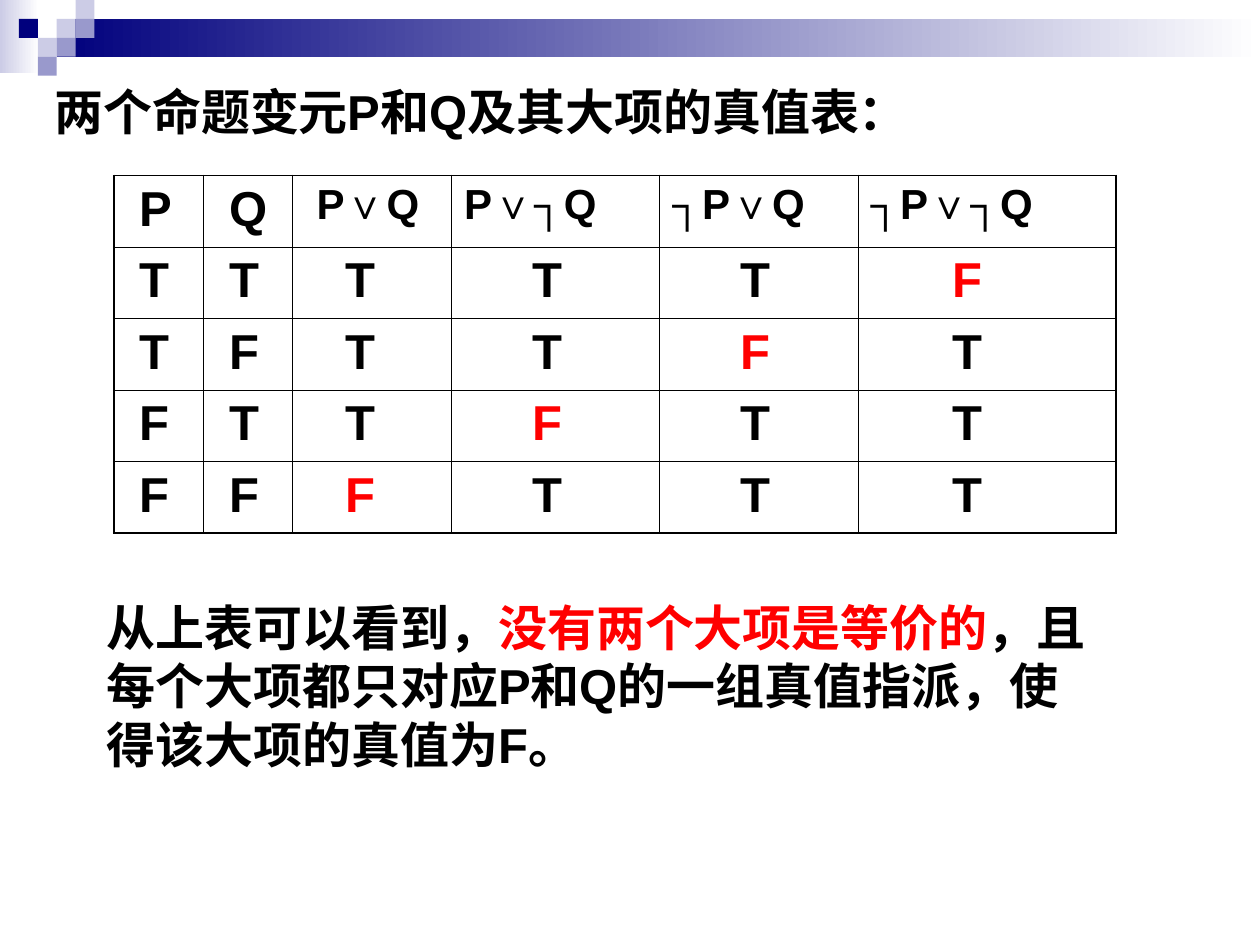
from dataclasses import dataclass
from typing import Any, NamedTuple

from lxml.etree import Element
from pptx import Presentation as Deck
from pptx.dml.color import RGBColor as Color
from pptx.enum.shapes import MSO_SHAPE as Kind
from pptx.enum.text import MSO_ANCHOR as Anchor, PP_ALIGN as Align
from pptx.oxml.ns import qn
from pptx.util import Pt


@dataclass(frozen=True)
class Theme:
    face: str = "Arial"
    ink: str = "000000"
    red: str = "FF0000"
    navy: str = "00007D"
    mid: str = "9999CC"
    pale: str = "CCCCE6"
    white: str = "FFFFFF"
    large: float = 28
    small: float = 24
    thin: float = 0.45
    thick: float = 1.08


class Box(NamedTuple):
    left: float
    top: float
    width: float
    height: float


class Tile(NamedTuple):
    col: int
    row: int
    tone: str


class Run(NamedTuple):
    text: str
    tone: str


class Column(NamedTuple):
    width: float
    head: str
    size: float
    head_pad: float
    pad: float
    marks: str


LOOK = Theme()
UNIT = 10.8
ROW = 40.8
BANDS = [
    (Box(0, 0, 22.3, 41.8), LOOK.pale),
    (Box(32.4, UNIT, 687.6, 21.6), LOOK.navy),
]
TILES = [
    Tile(3, 1, LOOK.pale),
    Tile(4, 0, LOOK.pale),
    Tile(4, 1, LOOK.mid),
    Tile(2, 2, LOOK.pale),
    Tile(1, 1, LOOK.navy),
    Tile(3, 2, LOOK.mid),
    Tile(2, 3, LOOK.mid),
]
COLUMNS = [
    Column(51, "P", LOOK.large, 15, 15, "TTFF"),
    Column(51, "Q", LOOK.large, 15, 15, "TFTF"),
    Column(91, "P∨Q", LOOK.small, 13.9, 30.5, "TTTF"),
    Column(119, "P∨┐Q", LOOK.small, 7.2, 46.1, "TTFT"),
    Column(113.3, "┐P∨Q", LOOK.small, 7.2, 46.1, "TFTT"),
    Column(147.3, "┐P∨┐Q", LOOK.small, 7.2, 53.9, "FTTT"),
]
TITLE = [Run("两个命题变元P和Q及其大项的真值表：", LOOK.ink)]
NOTE = [
    Run("从上表可以看到，", LOOK.ink),
    Run("没有两个大项是等价的", LOOK.red),
    Run("，且每个大项都只对应P和Q的一组真值指派，使得该大项的真值为F。", LOOK.ink),
]


def apply(item: Any, form: dict[str, Any]) -> None:
    for key, value in form.items():
        setattr(item, key, value)


def write(frame: Any, runs: list[Run], size: float, space: float) -> None:
    para = frame.paragraphs[0]
    apply(para, {"alignment": Align.LEFT, "space_before": Pt(space)})
    for part in runs:
        run = para.add_run()
        run.text = part.text
        apply(run.font, {"name": LOOK.face, "size": Pt(size), "bold": True})
        run.font.color.rgb = Color.from_string(part.tone)


def draw_rect(slide: Any, box: Box, tone: str, fade: bool = False) -> None:
    shape = slide.shapes.add_shape(Kind.RECTANGLE, *map(Pt, box))
    shape.shadow.inherit = False
    shape.line.fill.background()
    if fade:
        shape.fill.gradient()
        shape.fill.gradient_angle = 0
        for stop, hue in zip(shape.fill.gradient_stops, (tone, LOOK.white)):
            stop.color.rgb = Color.from_string(hue)
    else:
        shape.fill.solid()
        shape.fill.fore_color.rgb = Color.from_string(tone)


def draw_text(slide: Any, box: Box, runs: list[Run], space: float) -> None:
    frame = slide.shapes.add_textbox(*map(Pt, box)).text_frame
    apply(frame, {"word_wrap": True, "vertical_anchor": Anchor.TOP})
    write(frame, runs, LOOK.large, space)


def rule_cell(cell: Any, outer: dict[str, bool]) -> None:
    props = cell._tc.get_or_add_tcPr()
    for spot, (side, edge) in enumerate(outer.items()):
        width = Pt(LOOK.thick if edge else LOOK.thin)
        line = Element(qn(f"a:ln{side}"), w=str(int(width)))
        fill = Element(qn("a:solidFill"))
        fill.append(Element(qn("a:srgbClr"), val=LOOK.ink))
        line.append(fill)
        props.insert(spot, line)


def draw_table(slide: Any, left: float, top: float, cols: list[Column]) -> None:
    count = len(cols[0].marks) + 1
    wide = sum(col.width for col in cols)
    box = Box(left, top, wide, ROW * count)
    table = slide.shapes.add_table(count, len(cols), *map(Pt, box)).table
    apply(table, {"first_row": False, "horz_banding": False})
    for row in table.rows:
        row.height = Pt(ROW)
    for x, col in enumerate(cols):
        table.columns[x].width = Pt(col.width)
        for y, text in enumerate([col.head, *col.marks]):
            cell = table.cell(y, x)
            head = y == 0
            pad = col.head_pad if head else col.pad
            size = col.size if head else LOOK.large
            false = text == "F" and x > 1
            apply(cell, {"margin_left": Pt(pad), "vertical_anchor": Anchor.TOP})
            cell.fill.background()
            tone = LOOK.red if false else LOOK.ink
            write(cell.text_frame, [Run(text, tone)], size, size / 4)
            rule_cell(cell, {
                "L": x == 0,
                "R": x == len(cols) - 1,
                "T": head,
                "B": y == count - 1,
            })


def main() -> None:
    deck = Deck()
    apply(deck, {"slide_width": Pt(720), "slide_height": Pt(540)})
    slide = deck.slides.add_slide(deck.slide_layouts[6])
    for box, tone in BANDS:
        draw_rect(slide, box, tone, fade=True)
    for tile in TILES:
        box = Box(tile.col * UNIT, tile.row * UNIT, UNIT, UNIT)
        draw_rect(slide, box, tile.tone)
    draw_text(slide, Box(24, 43.2, 676, 51), TITLE, 7)
    draw_table(slide, 65, 100.3, COLUMNS)
    draw_text(slide, Box(54, 337.7, 584, 108), NOTE, 17.5)
    deck.save("out.pptx")


if __name__ == "__main__":
    main()
